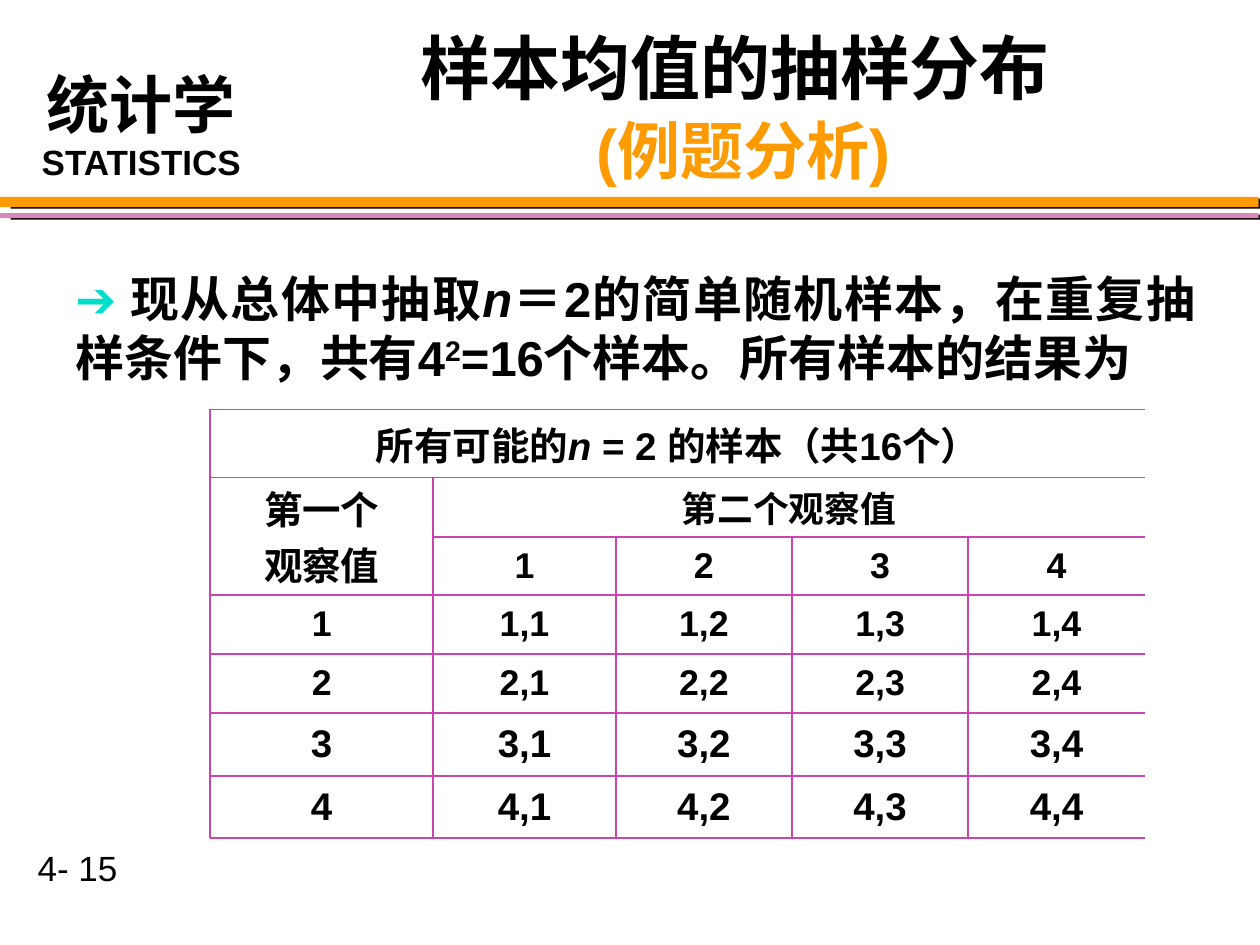
from itertools import accumulate

from lxml.etree import SubElement
from pptx import Presentation
from pptx.dml.color import RGBColor
from pptx.enum.shapes import MSO_CONNECTOR as CONNECTOR, MSO_SHAPE as SHAPE
from pptx.enum.text import MSO_ANCHOR as ANCHOR, PP_ALIGN as ALIGN
from pptx.oxml.ns import qn
from pptx.util import Inches, Pt

BLACK = RGBColor(0x00, 0x00, 0x00)
ORANGE = RGBColor(0xFE, 0x9B, 0x03)
PINK = RGBColor(0xD9, 0x89, 0xB8)
TEAL = RGBColor(0x00, 0xDF, 0xCA)
GRID = RGBColor(0xC9, 0x45, 0xB3)
WIDTH, HEIGHT = Inches(10), Inches(7.5)
NO_STYLE = "{2D5ABB26-0587-4C30-8999-92F81FD0307C}"

# Table columns and rows, in percent of the slide's width and height
LEFT, TOP = 16.68, 43.33
COLS = [17.7, 14.5, 13.97, 14, 14]
ROWS = [7.2, 6.27, 6.13, 6.27, 6.27, 6.67, 6.53]
SIZES = [22, 20.4, 20.4, 20.4, 20.4, 22, 22]


def across(share):
    return int(WIDTH * share / 100)


def down(share):
    return int(HEIGHT * share / 100)


def place(x, y, w, h):
    return across(x), down(y), across(w), down(h)


def style(r, size, color=BLACK, bold=True, italic=False, name="Arial"):
    f = r.font
    f.name, f.size, f.bold, f.italic = name, Pt(size), bold, italic
    f.color.rgb = color


def add_run(p, text, size, **look):
    r = p.add_run()
    r.text = text
    style(r, size, **look)
    return r


def add_text(s, box, align=ALIGN.LEFT, anchor=ANCHOR.TOP, wrap=True):
    tf = s.shapes.add_textbox(*place(*box)).text_frame
    tf.word_wrap = wrap
    tf.vertical_anchor = anchor
    p = tf.paragraphs[0]
    p.alignment = align
    return p


def add_bar(s, y, h, color):
    sp = s.shapes.add_shape(SHAPE.RECTANGLE, *place(0, y, 99.9, h))
    sp.fill.solid()
    sp.fill.fore_color.rgb = color
    sp.line.fill.background()
    sp.shadow.inherit = False
    effects = sp.element.spPr.find(qn("a:effectLst"))
    shadow = SubElement(effects, qn("a:outerShdw"), dist=str(Pt(6.1)),
                        dir=str(9 * 60000), algn="ctr", rotWithShape="0")
    SubElement(shadow, qn("a:srgbClr"), val=str(BLACK))


def add_rule(s, x1, y1, x2, y2):
    line = s.shapes.add_connector(CONNECTOR.STRAIGHT, across(x1), down(y1),
                                  across(x2), down(y2))
    line.line.color.rgb = GRID
    line.line.width = Pt(1)
    SubElement(line.element.spPr, qn("a:effectLst"))


def fill_cell(cell, text, size):
    cell.text = text
    for p in cell.text_frame.paragraphs:
        p.alignment = ALIGN.CENTER
        for r in p.runs:
            style(r, size)


def add_sample_table(s):
    frame = s.shapes.add_table(len(ROWS), len(COLS),
                               *place(LEFT, TOP, sum(COLS), sum(ROWS)))
    table = frame.table
    table.first_row = table.horz_banding = False
    frame.element.find(".//" + qn("a:tableStyleId")).text = NO_STYLE
    for col, share in zip(table.columns, COLS):
        col.width = across(share)
    for row, share in zip(table.rows, ROWS):
        row.height = down(share)
    for cell in table.iter_cells():
        cell.fill.background()
        cell.vertical_anchor = ANCHOR.MIDDLE
        cell.margin_top = cell.margin_bottom = 0

    # Merged headings
    last = len(COLS) - 1
    table.cell(0, 0).merge(table.cell(0, last))
    table.cell(1, 0).merge(table.cell(2, 0))
    table.cell(1, 1).merge(table.cell(1, last))
    p = table.cell(0, 0).text_frame.paragraphs[0]
    p.alignment = ALIGN.CENTER
    add_run(p, "所有可能的", 22)
    add_run(p, "n", 22, italic=True)
    add_run(p, " = 2 的样本（共16个）", 22)
    fill_cell(table.cell(1, 0), "第一个\n观察值", 22)
    fill_cell(table.cell(1, 1), "第二个观察值", SIZES[1])

    # Every pair of first and second value
    for n in range(1, 5):
        fill_cell(table.cell(2, n), str(n), SIZES[2])
        fill_cell(table.cell(n + 2, 0), str(n), SIZES[n + 2])
        for m in range(1, 5):
            fill_cell(table.cell(n + 2, m), f"{n},{m}", SIZES[n + 2])


def add_table_rules(s):
    xs = list(accumulate(COLS, initial=LEFT))
    ys = list(accumulate(ROWS, initial=TOP))
    # The rule under the second heading starts after the first column
    for i, y in enumerate(ys):
        add_rule(s, xs[1] if i == 2 else xs[0], y, xs[-1], y)
    # Upright rules start below merged headings; the right side stays open
    for x, first_row in zip(xs, [0, 1, 2, 2, 2]):
        add_rule(s, x, ys[first_row], x, ys[-1])


def add_header(s):
    add_bar(s, 20.85, 1.07, ORANGE)
    add_bar(s, 22.55, 0.53, PINK)

    # Course name
    p = add_text(s, (1.62, 6.23, 19.2, 13.77), ALIGN.CENTER)
    add_run(p, "统计学", 36)
    add_run(p, "STATISTICS", 20)

    # Title
    p = add_text(s, (20.85, 3.33, 75, 16.67), ALIGN.CENTER, ANCHOR.MIDDLE)
    p.line_spacing = 0.95
    add_run(p, "样本均值的抽样分布", 40, name="Cambria")
    p.add_line_break()
    add_run(p, " ", 40, name="Cambria")
    add_run(p, "(例题分析)", 36, color=ORANGE)


def add_statement(s):
    p = add_text(s, (5, 27.75, 90.83, 20), ALIGN.JUSTIFY)
    p.space_before = Pt(17.5)
    add_run(p, "➔ ", 28, color=TEAL)
    add_run(p, "现从总体中抽取", 28)
    add_run(p, "n", 28, italic=True)
    add_run(p, "＝2的简单随机样本，在重复抽样条件下，共有4", 28)
    power = add_run(p, "2", 28)
    power.font._element.set("baseline", "30000")
    add_run(p, "=16个样本。所有样本的结果为", 28)


def main():
    prs = Presentation()
    prs.slide_width, prs.slide_height = WIDTH, HEIGHT
    s = prs.slides.add_slide(prs.slide_layouts[6])
    add_header(s)
    add_statement(s)
    add_sample_table(s)
    add_table_rules(s)
    # Page number
    p = add_text(s, (2, 88.93, 17.9, 5.73), wrap=False)
    add_run(p, "4- 15", 20, bold=False)
    prs.save("out.pptx")


if __name__ == "__main__":
    main()
